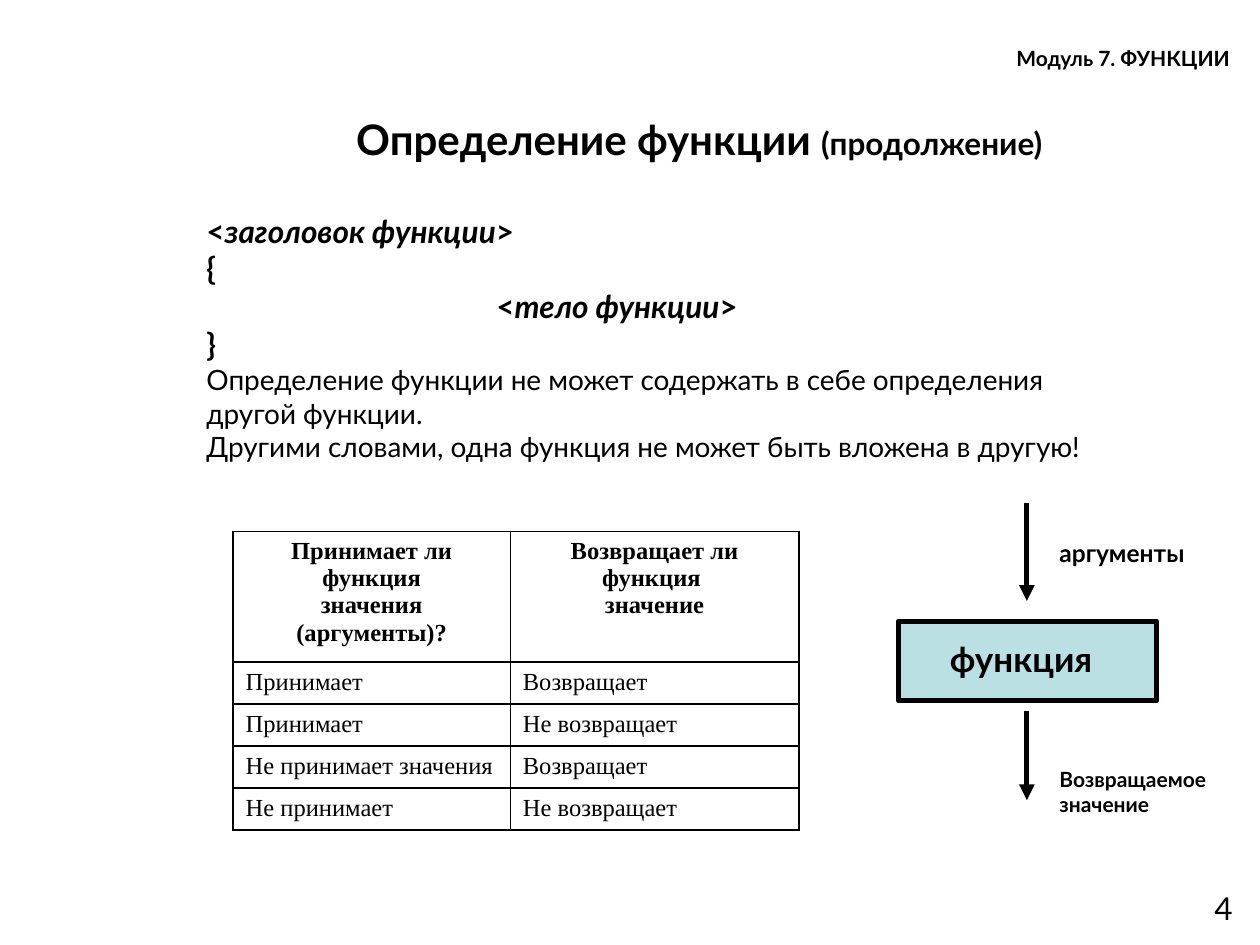
"""Build the slide about defining a function."""
import pptx
import pptx.chart
import pptx.dml.color
import pptx.enum.shapes
import pptx.enum.text
import pptx.oxml
import pptx.oxml.ns
import pptx.util
from lxml import etree

Pt = pptx.util.Pt
ALIGN = pptx.enum.text.PP_ALIGN
ANCHOR = pptx.enum.text.MSO_ANCHOR


def rgb(value):
    """Turn a hex string into a colour."""
    return pptx.dml.color.RGBColor.from_string(value)


def child(parent, name, **attrs):
    """Append a DrawingML element."""
    return etree.SubElement(parent, pptx.oxml.ns.qn("a:" + name), **attrs)


class Deck:
    """Hold the style and the current slide."""

    font, serif = "Lato", "Times New Roman"
    ink, accent = "000000", "BBE0E3"

    def __init__(self, width, height):
        """Start a presentation with one title-only slide."""
        self.prs = pptx.Presentation()
        self.prs.slide_width, self.prs.slide_height = Pt(width), Pt(height)
        self.s = self.prs.slides.add_slide(self.prs.slide_layouts[5])

    def paragraph(self, p, runs, size, bold=False, align=ALIGN.LEFT, font=None, indent=0):
        """Write runs, each a pair of text and font overrides."""
        p.alignment = align
        p.font.name, p.font.size, p.font.bold = font or self.font, Pt(size), bold
        p.font.color.rgb = rgb(self.ink)
        if indent:
            p._p.get_or_add_pPr().set("marL", str(Pt(indent)))
        for text, style in runs:
            for n, line in enumerate(text.split("\n")):
                if n:
                    p.add_line_break()
                r = p.add_run()
                r.text = line
                r.font.name, r.font.size = p.font.name, style.get("size", p.font.size)
                r.font.bold, r.font.italic = bold, style.get("italic")
                r.font.color.rgb = rgb(self.ink)

    def title(self, box, runs, size):
        """Place and format the title placeholder."""
        sp = self.s.shapes.title
        sp.left, sp.top, sp.width, sp.height = map(Pt, box)
        tf = sp.text_frame
        tf.auto_size = pptx.enum.text.MSO_AUTO_SIZE.NONE
        tf.word_wrap, tf.vertical_anchor = False, ANCHOR.MIDDLE
        self.paragraph(tf.paragraphs[0], runs, size, True, ALIGN.CENTER)

    def text(self, box, paragraphs, anchor=ANCHOR.TOP, wrap=True):
        """Add a text box of paragraphs, each a dict of settings."""
        tf = self.s.shapes.add_textbox(*map(Pt, box)).text_frame
        tf.word_wrap, tf.vertical_anchor = wrap, anchor
        for n, settings in enumerate(paragraphs):
            p = tf.add_paragraph() if n else tf.paragraphs[0]
            self.paragraph(p, **settings)

    def label(self, box, text, size, bold=True, align=ALIGN.LEFT, wrap=False):
        """Add a text box with one plain paragraph."""
        settings = dict(runs=[(text, {})], size=size, bold=bold, align=align)
        self.text(box, [settings], wrap=wrap)

    def block(self, box, weight):
        """Add a filled rectangle."""
        sp = self.s.shapes.add_shape(pptx.enum.shapes.MSO_SHAPE.RECTANGLE, *map(Pt, box))
        sp.shadow.inherit = False
        sp.fill.solid()
        sp.fill.fore_color.rgb = rgb(self.accent)
        sp.line.color.rgb, sp.line.width = rgb(self.ink), Pt(weight)

    def arrow(self, x, top, bottom, weight):
        """Add a vertical arrow pointing down."""
        straight = pptx.enum.shapes.MSO_CONNECTOR.STRAIGHT
        c = self.s.shapes.add_connector(straight, Pt(x), Pt(top), Pt(x), Pt(bottom))
        c.line.color.rgb, c.line.width = rgb(self.ink), Pt(weight)
        child(c.line._get_or_add_ln(), "tailEnd", type="triangle")
        child(c._element.spPr, "effectLst")

    def table(self, left, top, widths, heights, rows, size):
        """Add a ruled table with a bold centred header."""
        box = map(Pt, (left, top, sum(widths), sum(heights)))
        table = self.s.shapes.add_table(len(rows), len(widths), *box).table
        table.first_row = table.horz_banding = False
        for column, width in zip(table.columns, widths):
            column.width = Pt(width)
        for i, (row, height, texts) in enumerate(zip(table.rows, heights, rows)):
            row.height = Pt(height)
            for cell, text in zip(row.cells, texts):
                align = ALIGN.LEFT if i else ALIGN.CENTER
                self.paragraph(cell.text_frame.paragraphs[0], [(text, {})], size,
                               i == 0, align, self.serif)
                self.border(cell, 1)

    def border(self, cell, weight):
        """Rule all four sides of an unfilled cell."""
        tc_pr = cell._tc.get_or_add_tcPr()
        for side in ("lnL", "lnR", "lnT", "lnB"):
            ln = child(tc_pr, side, w=str(Pt(weight)))
            child(child(ln, "solidFill"), "srgbClr", val=self.ink)
        cell.fill.background()


def main():
    """Build and save the slide."""
    d = Deck(720, 540)
    d.title((161.3, 61.2, 481, 36),
            [("Определение функции ", {}), ("(продолжение) ", {"size": Pt(18)})], 24)
    d.label((543.6, 504.7, 167.8, 37.4), "4", 18, False, ALIGN.RIGHT, True)
    d.label((573.8, 22.3, 146.2, 21.6), "Модуль 7. ФУНКЦИИ", 12, wrap=True)

    def tag(name):
        return [("<", {}), (name, {"italic": True}), (">", {})]

    code = dict(size=18, bold=True)
    d.text((110.9, 116.6, 529.2, 152.6), [
        dict(runs=tag("заголовок функции"), **code),
        dict(runs=[("{", {})], **code),
        dict(runs=tag("тело функции"), indent=165.6, **code),
        dict(runs=[("}", {})], **code),
        dict(runs=[("Определение функции не может содержать в себе определения другой функции.\n"
                    "Другими словами, одна функция не может быть вложена в другую!", {})], size=16),
    ], ANCHOR.MIDDLE)

    d.table(133.2, 303.8, (158.4, 164.9), [74.4] + [24] * 4, [
        ("Принимает ли функция\nзначения (аргументы)?", "Возвращает ли функция \nзначение"),
        ("Принимает", "Возвращает"),
        ("Принимает", "Не возвращает"),
        ("Не принимает значения", "Возвращает"),
        ("Не принимает", "Не возвращает"),
    ], 14)

    d.block((513.4, 355, 147.6, 45.4), 3)
    for top, bottom in ((287.3, 343.4), (406.1, 457.2)):
        d.arrow(586.8, top, bottom, 3)
    d.label((598.3, 303.8, 90, 23.8), "аргументы", 14)
    d.label((535.7, 360.7, 101.5, 31), "функция", 20)
    d.label((598.3, 434.2, 107.3, 36), "Возвращаемое \nзначение", 12)
    d.prs.save("out.pptx")


if __name__ == "__main__":
    main()
